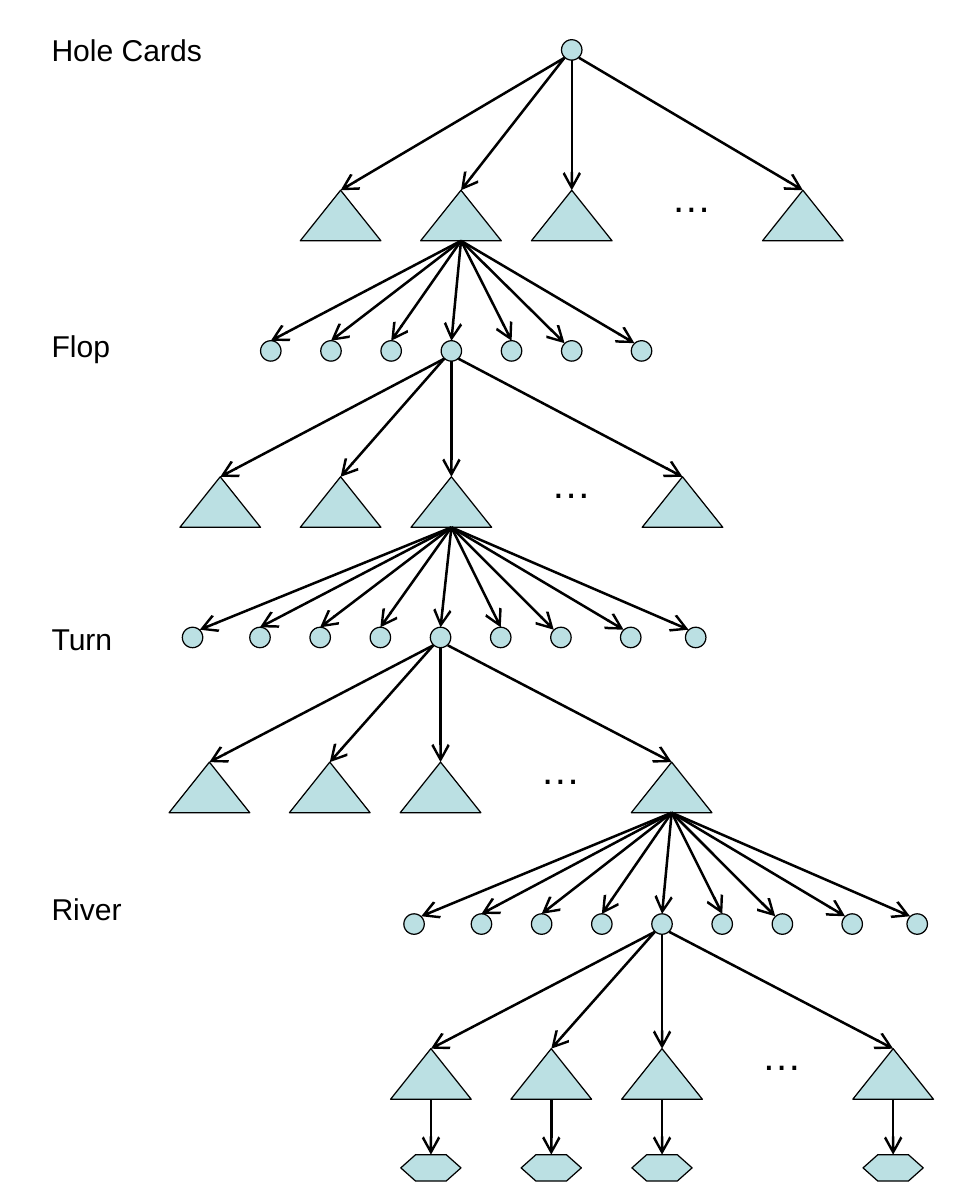
from lxml.etree import SubElement
from pptx import Presentation
from pptx.dml.color import RGBColor
from pptx.enum.shapes import MSO_CONNECTOR, MSO_SHAPE
from pptx.enum.text import MSO_AUTO_SIZE
from pptx.oxml.ns import qn
from pptx.util import Emu, Pt

# Content: each betting round with its label, decision node and chance nodes.
# "parent" is the index of the triangle in the round above that leads here.
INNER = [-150, -100, -50, 0, 50, 100, 158]
OUTER = [-206, *INNER, 212]
ROUNDS = [
    {"label": "Hole Cards", "label_top": 21, "label_width": 147,
     "x": 475, "top": 33, "triangle_top": 158, "nodes": [0], "parent": None},
    {"label": "Flop", "label_top": 267, "label_width": 72,
     "x": 375, "top": 283, "triangle_top": 396, "nodes": INNER, "parent": 1},
    {"label": "Turn", "label_top": 510, "label_width": 73,
     "x": 366, "top": 521, "triangle_top": 633, "nodes": OUTER, "parent": 2},
    {"label": "River", "label_top": 735, "label_width": 80,
     "x": 550, "top": 759, "triangle_top": 871, "nodes": OUTER, "parent": 3},
]
ACTIONS = [-192, -92, 0, 192]
DOTS = 100

# Sizes in px, 100 to the inch
SCALE = 9144
CIRCLE = 17
DIAGONAL = 6
TRIANGLE = (67, 42)
HEXAGON = (50, 22)
HEXAGON_TOP = 959
LABEL_LEFT = 33

FONT = "Arial"
PALE_BLUE = RGBColor(0xBB, 0xE0, 0xE3)
BLACK = RGBColor(0, 0, 0)


def px(length):
    return Emu(round(length * SCALE))


def sign(number):
    return (number > 0) - (number < 0)


def add_node(page, kind, x, top, width, height):
    node = page.shapes.add_shape(kind, px(x - width / 2), px(top), px(width), px(height))
    node.shadow.inherit = False
    node.fill.solid()
    node.fill.fore_color.rgb = PALE_BLUE
    node.line.color.rgb = BLACK
    node.line.width = Pt(0.75)
    return node


def add_arrow(page, start, end, target=None):
    arrow = page.shapes.add_connector(MSO_CONNECTOR.STRAIGHT, *map(px, start + end))
    if target is not None:
        arrow.end_connect(target, 0)
    arrow.line.color.rgb = BLACK
    arrow.line.width = Pt(1.5)
    SubElement(arrow.get_or_add_ln(), qn("a:tailEnd"), type="arrow", w="lg", len="lg")
    SubElement(arrow._element.spPr, qn("a:effectLst"))


def add_text(page, text, left, top, width, height, size=18, color=BLACK):
    box = page.shapes.add_textbox(px(left), px(top), px(width), px(height))
    frame = box.text_frame
    frame.word_wrap = False
    frame.auto_size = MSO_AUTO_SIZE.SHAPE_TO_FIT_TEXT
    span = frame.paragraphs[0].add_run()
    span.text = text
    span.font.name = FONT
    span.font.size = Pt(size)
    span.font.color.rgb = color


def node_entry(offset, x, top):
    """Point on a circle's rim where the arrow from above arrives."""
    if -200 < offset < 100:
        return x, top
    return x - sign(offset) * DIAGONAL, top + 2


def draw_round(page, stage, parent_base):
    x, top = stage["x"], stage["top"]
    triangle_top = stage["triangle_top"]
    add_text(page, stage["label"], LABEL_LEFT, stage["label_top"],
             stage["label_width"], 40)

    # Chance nodes
    for offset in stage["nodes"]:
        add_node(page, MSO_SHAPE.OVAL, x + offset, top, CIRCLE, CIRCLE)
        if parent_base:
            add_arrow(page, parent_base, node_entry(offset, x + offset, top))

    # Actions out of the decision node
    for offset in ACTIONS:
        triangle = add_node(page, MSO_SHAPE.ISOSCELES_TRIANGLE, x + offset,
                            triangle_top, *TRIANGLE)
        start = (x + sign(offset) * DIAGONAL, top + (15 if offset else CIRCLE))
        add_arrow(page, start, (x + offset, triangle_top), target=triangle)
    add_text(page, "…", x + DOTS - 27, triangle_top - 20, 53, 50, size=24)


def main():
    deck = Presentation()
    deck.slide_width, deck.slide_height = px(800), px(1000)
    page = deck.slides.add_slide(deck.slide_layouts[6])

    # Rounds, each hanging from a triangle of the one above
    above = None
    for stage in ROUNDS:
        base = None
        if above:
            base = (above["x"] + ACTIONS[stage["parent"]],
                    above["triangle_top"] + TRIANGLE[1])
        draw_round(page, stage, base)
        above = stage

    # Terminal nodes below the last round
    for offset in ACTIONS:
        x = above["x"] + offset
        hexagon = add_node(page, MSO_SHAPE.HEXAGON, x, HEXAGON_TOP, *HEXAGON)
        hexagon.adjustments[0] = 0.56
        add_arrow(page, (x, above["triangle_top"] + TRIANGLE[1]), (x, HEXAGON_TOP))

    deck.save("out.pptx")


if __name__ == "__main__":
    main()
